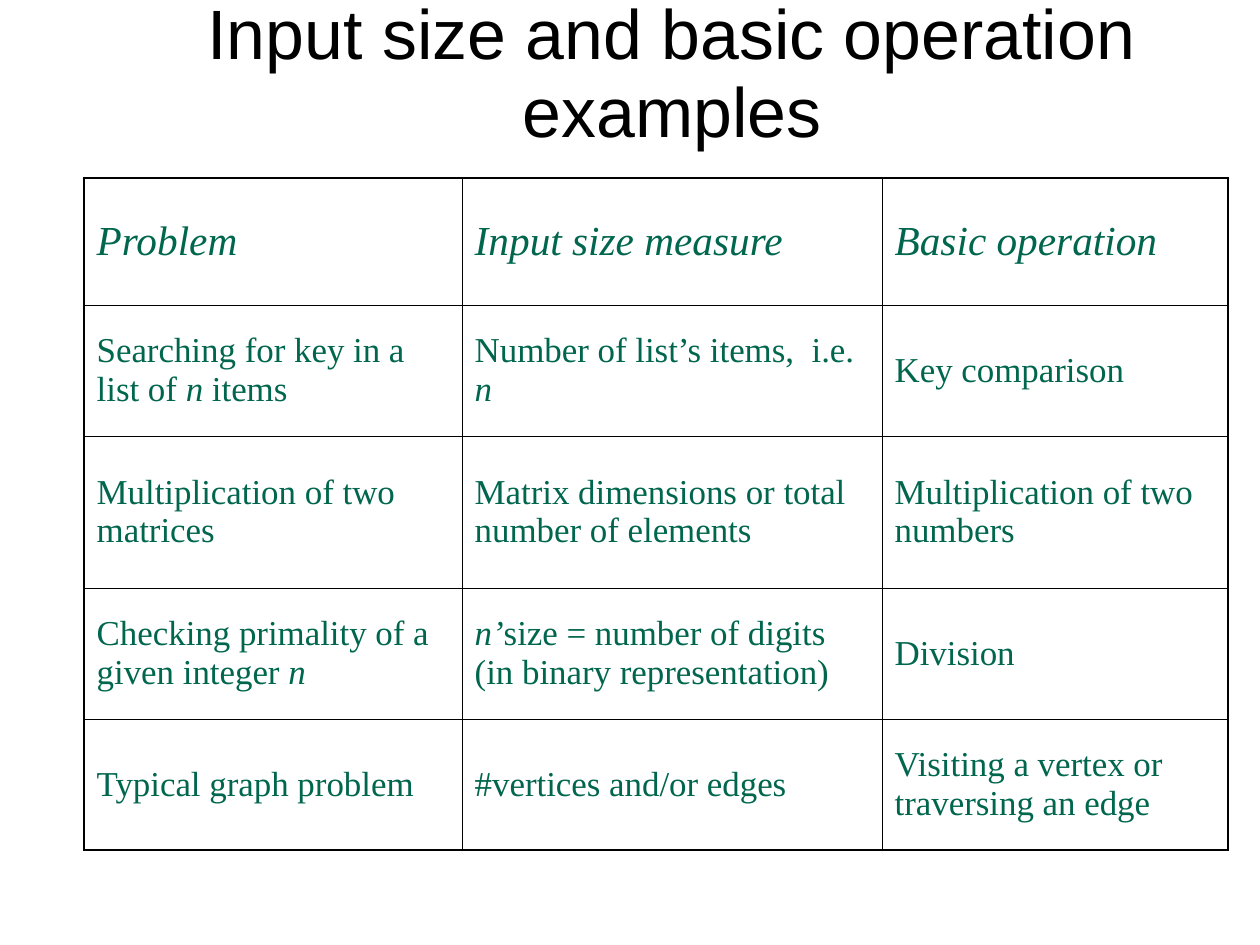
from lxml import etree
from pptx import Presentation
from pptx.dml.color import RGBColor
from pptx.enum.text import MSO_ANCHOR, PP_ALIGN
from pptx.oxml.ns import qn
from pptx.util import Cm, Inches, Pt

MIDDLE = MSO_ANCHOR.MIDDLE
CENTER = PP_ALIGN.CENTER

COLORS = {"title": "000000", "cell": "00664D", "rule": "000000"}
THICK, THIN = 1.08, 0.45

# Percent of the slide's width and height; asterisks mark italics.
LEFT = 6.68
COLS = [30, 33.33, 27.46]
ROWS = [13.44, 13.86, 16.08, 13.86, 13.86]
CELLS = [
    ["*Problem*", "*Input size measure*", "*Basic operation*"],
    ["Searching for key in a list of *n* items",
     "Number of list’s items,  i.e. *n*", "Key comparison"],
    ["Multiplication of two matrices",
     "Matrix dimensions or total number of elements",
     "Multiplication of two numbers"],
    ["Checking primality of a given integer *n*",
     "*n’*size = number of digits (in binary representation)", "Division"],
    ["Typical graph problem", "#vertices and/or edges",
     "Visiting a vertex or traversing an edge"],
]


class Deck:
    def __init__(self, wide, high):
        self.prs = Presentation()
        self.prs.slide_width = wide
        self.prs.slide_height = high
        self.slide = self.prs.slides.add_slide(self.prs.slide_layouts[6])

    def x(self, share):
        return round(self.prs.slide_width * share / 100)

    def y(self, share):
        return round(self.prs.slide_height * share / 100)

    def style(self, run, face, size, color):
        run.font.name = face
        run.font.size = Pt(size)
        run.font.color.rgb = RGBColor.from_string(COLORS[color])

    def title(self, text, left, top, wide, high):
        box = self.slide.shapes.add_textbox(
            self.x(left), self.y(top), self.x(wide), self.y(high))
        frame = box.text_frame
        frame.word_wrap = True
        frame.vertical_anchor = MIDDLE
        frame.margin_left = frame.margin_right = 0
        frame.margin_top = frame.margin_bottom = 0
        frame.text = text
        para = frame.paragraphs[0]
        para.alignment = CENTER
        para.line_spacing = 0.94
        self.style(para.runs[0], "Arial", 44, "title")

    def table(self, cells, left, top, cols, rows):
        table = self.slide.shapes.add_table(
            len(rows), len(cols), self.x(left), self.y(top),
            self.x(sum(cols)), self.y(sum(rows))).table
        table.first_row = table.horz_banding = False
        for col, wide in zip(table.columns, cols):
            col.width = self.x(wide)
        for row, high in zip(table.rows, rows):
            row.height = self.y(high)
        for r, line in enumerate(cells):
            for c, text in enumerate(line):
                cell = table.cell(r, c)
                self.fill_cell(cell, text, 22 if r else 26)
                outer = {"L": c == 0, "R": c == len(cols) - 1,
                         "T": r == 0, "B": r == len(rows) - 1}
                self.edges(cell, outer)

    def fill_cell(self, cell, text, size):
        cell.fill.background()
        cell.vertical_anchor = MIDDLE
        cell.margin_left = cell.margin_right = Inches(0.11)
        cell.margin_top = cell.margin_bottom = Inches(0.05)
        para = cell.text_frame.paragraphs[0]
        para.space_before = Pt(size / 4)
        for i, part in enumerate(text.split("*")):
            if part:
                run = para.add_run()
                run.text = part
                run.font.italic = i % 2 == 1
                self.style(run, "Times New Roman", size, "cell")

    def edges(self, cell, outer):
        """Draw the four borders, thick where the side is on the outside."""
        props = cell._tc.get_or_add_tcPr()
        for i, (side, out) in enumerate(outer.items()):
            edge = etree.Element(qn(f"a:ln{side}"))
            edge.set("w", str(Pt(THICK if out else THIN)))
            fill = etree.SubElement(edge, qn("a:solidFill"))
            etree.SubElement(fill, qn("a:srgbClr")).set("val", COLORS["rule"])
            props.insert(i, edge)


def main():
    deck = Deck(Cm(28), Cm(21))
    deck.title("Input size and basic operation examples",
               LEFT, 2.9, 93.32, 10.04)
    deck.table(CELLS, LEFT, 18.84, COLS, ROWS)
    deck.prs.save("out.pptx")


if __name__ == "__main__":
    main()
